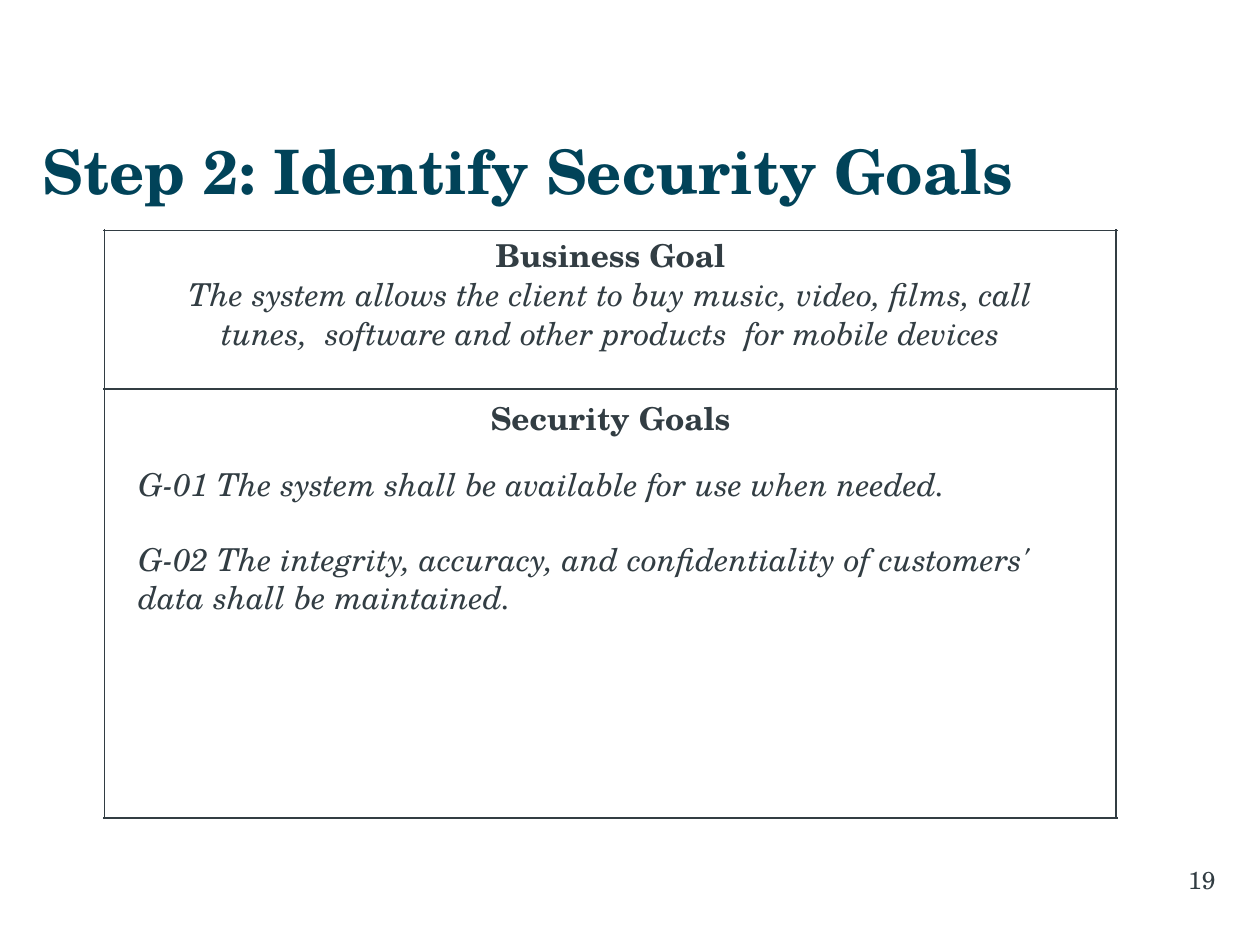
from dataclasses import dataclass

from pptx import Presentation
from pptx import util as u
from pptx.dml.color import RGBColor
from pptx.enum import shapes, text
from pptx.oxml.ns import qn
from lxml import etree


@dataclass(frozen=True)
class Theme:
    font: str = "TeX Gyre Schola"
    teal: str = "014359"
    slate: str = "323D43"
    head: float = 35
    body: float = 18
    foot: float = 14
    rule: float = 1


@dataclass(frozen=True)
class Para:
    words: str
    size: float
    color: str
    bold: bool = False
    slant: bool = False
    mid: bool = False
    lead: float = 0
    gap: float = 0


@dataclass(frozen=True)
class Box:
    at: tuple[float, float, float, float]
    paras: tuple[Para, ...]
    inset: tuple[float, float] = (0, 0)


@dataclass(frozen=True)
class Line:
    x1: float
    y1: float
    x2: float
    y2: float


T = Theme()


def draw_line(slide, line: Line) -> None:
    ends = map(u.Inches, (line.x1, line.y1, line.x2, line.y2))
    rule = slide.shapes.add_connector(shapes.MSO_CONNECTOR.STRAIGHT, *ends)
    rule.line.color.rgb = RGBColor.from_string(T.slate)
    rule.line.width = u.Pt(T.rule)
    etree.SubElement(rule._element.spPr, qn("a:effectLst"))


def fill_para(par, item: Para) -> None:
    par.alignment = text.PP_ALIGN.CENTER if item.mid else text.PP_ALIGN.LEFT
    par.space_before = u.Pt(item.gap)
    if item.lead:
        par.line_spacing = u.Pt(item.lead)
    run = par.add_run()
    run.text = item.words
    style = {"name": T.font, "size": u.Pt(item.size),
             "bold": item.bold, "italic": item.slant}
    for key, value in style.items():
        setattr(run.font, key, value)
    run.font.color.rgb = RGBColor.from_string(item.color)


def draw_box(slide, box: Box) -> None:
    frame = slide.shapes.add_textbox(*map(u.Inches, box.at)).text_frame
    side, top = map(u.Inches, box.inset)
    form = {"word_wrap": True, "vertical_anchor": text.MSO_ANCHOR.TOP,
            "margin_left": side, "margin_right": side,
            "margin_top": top, "margin_bottom": top}
    for key, value in form.items():
        setattr(frame, key, value)
    for i, item in enumerate(box.paras):
        fill_para(frame.add_paragraph() if i else frame.paragraphs[0], item)


def main() -> None:
    deck = Presentation()
    deck.slide_width, deck.slide_height = u.Inches(10), u.Inches(7.5)
    slide = deck.slides.add_slide(deck.slide_layouts[6])

    # Title
    draw_box(slide, Box((0.34, 1.06, 9.32, 0.59), (
        Para("Step 2: Identify Security Goals", T.head, T.teal, bold=True),)))

    # Frame with its divider
    left, right, top, split, base = 0.83, 8.86, 1.83, 3.09, 6.49
    for y in (top, split, base):
        draw_line(slide, Line(left - 0.01, y, right + 0.01, y))
    for x in (left, right):
        draw_line(slide, Line(x, top - 0.01, x, base + 0.01))

    # Business goal and the heading below it
    draw_box(slide, Box((1.19, 1.88, 7.31, 1.58), (
        Para("Business Goal", T.body, T.slate, bold=True, mid=True, lead=21.3),
        Para("The system allows the client to buy music, video, films, call "
             "tunes,  software and other products  for mobile devices",
             T.body, T.slate, slant=True, mid=True, lead=22, gap=0.1),
        Para("Security Goals", T.body, T.slate, bold=True, mid=True, gap=27))))

    # Security goals
    draw_box(slide, Box((1, 3.64, 7.42, 1.31), (
        Para("G-01 The system shall be available for use when needed.",
             T.body, T.slate, slant=True),
        Para("G-02 The integrity, accuracy, and confidentiality of customers' "
             "data shall be maintained.",
             T.body, T.slate, slant=True, gap=21.6)), inset=(0.1, 0.05)))

    # Page number
    draw_box(slide, Box((9.43, 6.89, 0.28, 0.22), (
        Para("19", T.foot, T.slate, lead=15.1),)))

    deck.save("out.pptx")


if __name__ == "__main__":
    main()
